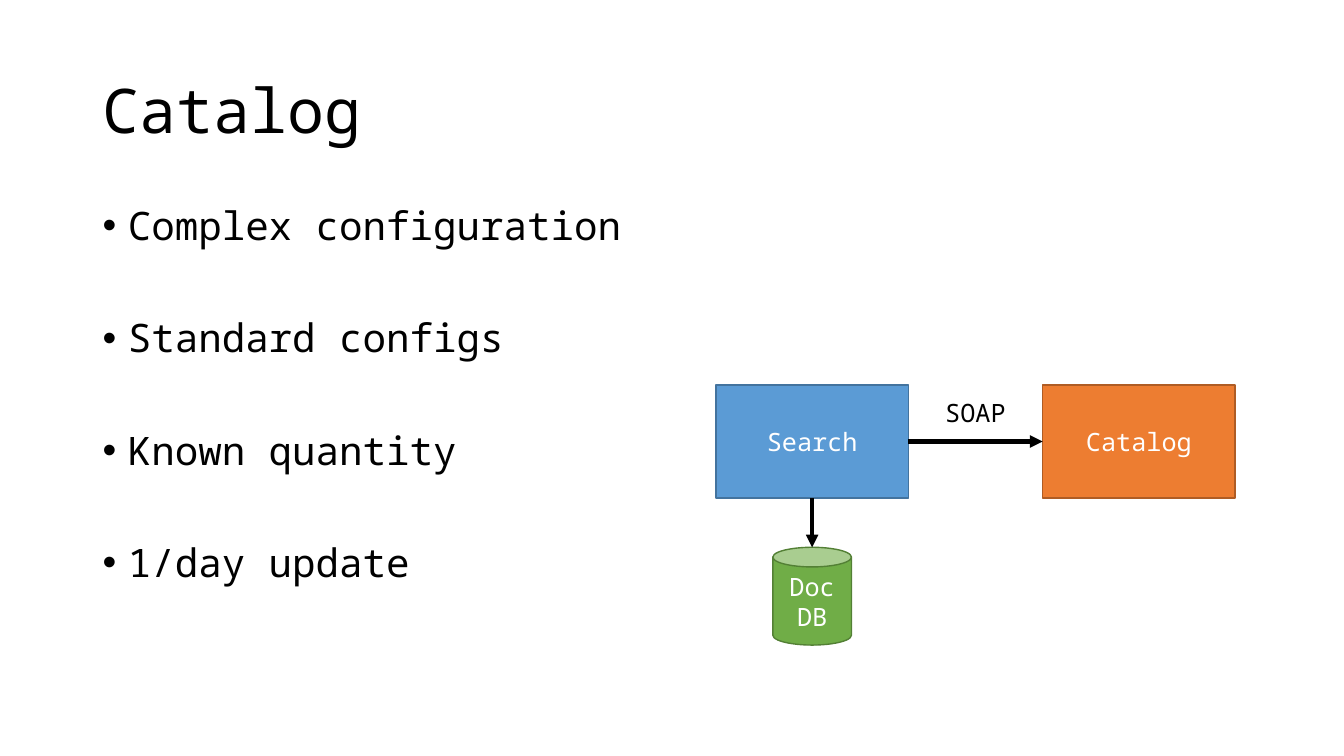
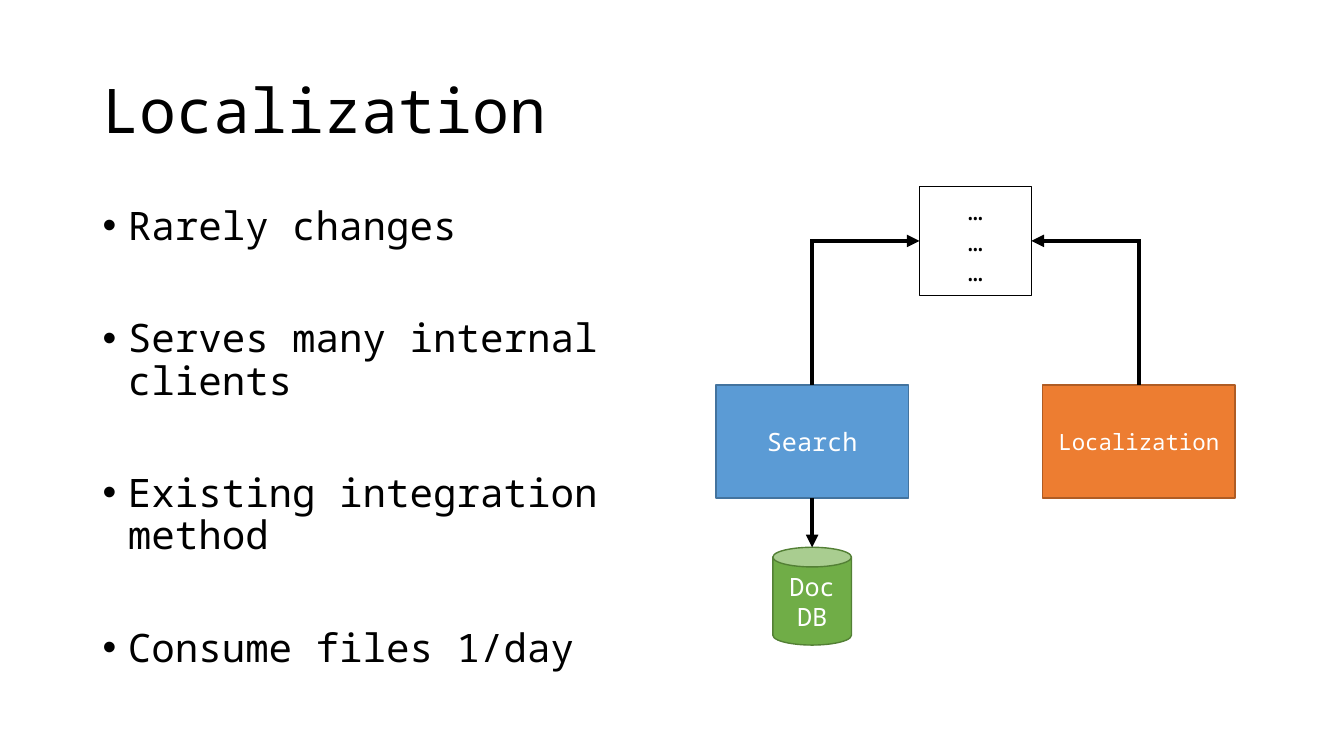
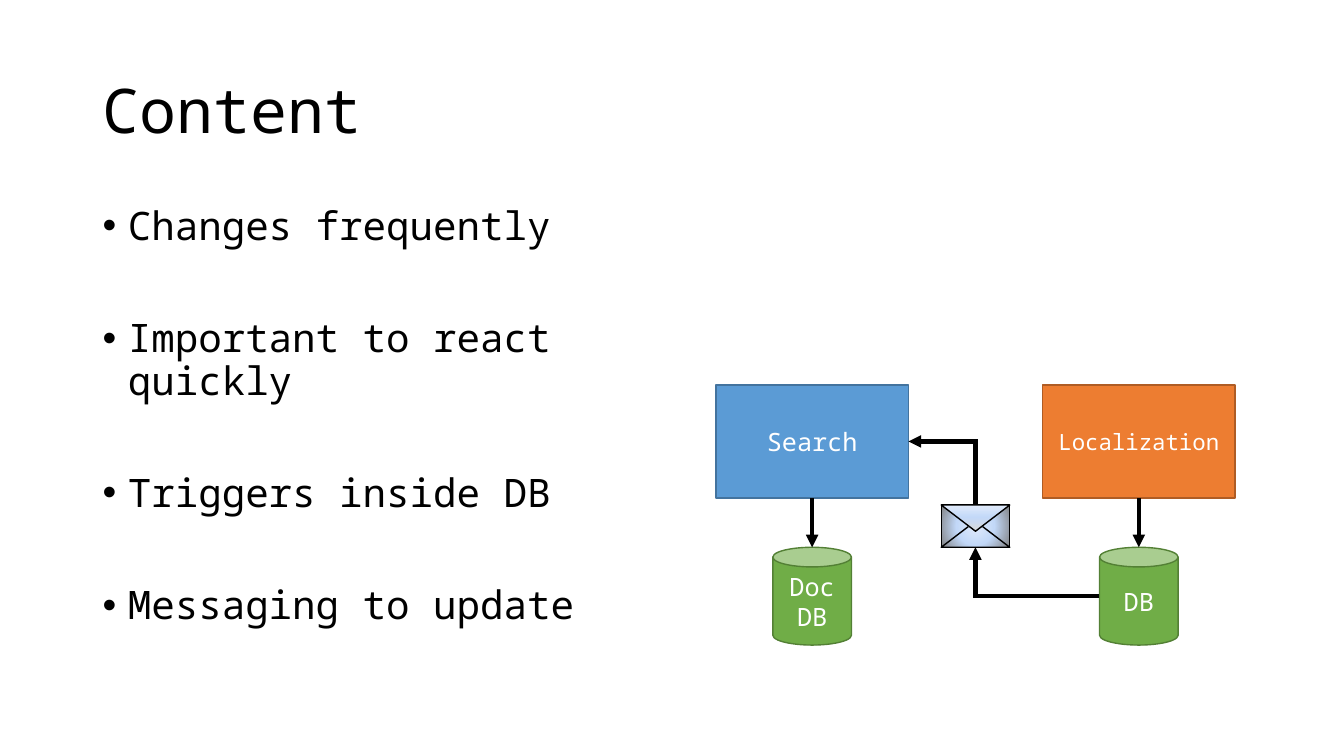
from dataclasses import dataclass

import pptx
import pptx.util
import pptx.dml.color
import pptx.enum.shapes
import pptx.enum.text
import pptx.oxml
import pptx.oxml.ns
from lxml import etree

Inches = pptx.util.Inches
Pt = pptx.util.Pt
qn = pptx.oxml.ns.qn
SHAPE = pptx.enum.shapes.MSO_SHAPE
CONNECTOR = pptx.enum.shapes.MSO_CONNECTOR
ANCHOR = pptx.enum.text.MSO_ANCHOR
ALIGN = pptx.enum.text.PP_ALIGN


@dataclass(frozen=True)
class Theme:
    font: str = "Noto Sans Mono"
    ink: str = "000000"
    paper: str = "FFFFFF"
    search: tuple = ("5B9BD5", "43739E")
    service: tuple = ("ED7D31", "AF5C24")
    database: tuple = ("70AD47", "538035")
    document: tuple = ("FFFFFF", "000000")
    envelope: tuple = ((0, "E1EBFB"), (48, "C2D8F8"), (100, "808080"))
    flap: tuple = ((0, "E1EBFB"), (48, "C2D8F8"), (100, "D9D9D9"))
    title_size: int = 44
    body_size: int = 28
    label_size: int = 18
    small_size: int = 16
    outline: int = 1
    arrow: int = 3


T = Theme()
TITLE_BOX = (0.92, 0.4, 11.5, 1.45)
BODY_BOX = (0.92, 2, 5.67, 4.76)
DIAGRAM_BOX = (7.1, 1.85, 5.15, 4.55)
NODE_W, NODE_H, NODE_TOP = 1.91, 1.12, 1.97
DB_W, DB_H = 0.78, 0.97
RECT_SITES = {"top": 0, "left": 1, "bottom": 2, "right": 3}
CAN_SITES = {"top": 1, "left": 2, "bottom": 3, "right": 4}


def rgb(value):
    return pptx.dml.color.RGBColor.from_string(value)


def inches(box):
    return [Inches(v) for v in box]


def write(tf, text, size, color, align=ALIGN.LEFT, anchor=ANCHOR.TOP):
    tf.text = text
    tf.word_wrap = True
    tf.vertical_anchor = anchor
    for p in tf.paragraphs:
        p.alignment = align
        for r in p.runs:
            r.font.name = T.font
            r.font.size = Pt(size)
            r.font.color.rgb = rgb(color)


def add_title(s, box, text):
    tf = s.shapes.add_textbox(*inches(box)).text_frame
    write(tf, text, T.title_size, T.ink, anchor=ANCHOR.MIDDLE)
    tf.paragraphs[0].line_spacing = 0.9


def add_bullets(s, box, items):
    tf = s.shapes.add_textbox(*inches(box)).text_frame
    write(tf, "\n".join(items), T.body_size, T.ink)
    for i, p in enumerate(tf.paragraphs):
        p.line_spacing = 0.9
        p.space_before = Pt(50 if i else 10)
        pPr = p._p.get_or_add_pPr()
        pPr.set("marL", str(Inches(0.25)))
        pPr.set("indent", str(-Inches(0.25)))
        etree.SubElement(pPr, qn("a:buFont")).set("typeface", "Arial")
        etree.SubElement(pPr, qn("a:buChar")).set("char", "•")


def add_outlined(shapes, kind, box, line):
    sp = shapes.add_shape(kind, *inches(box))
    sp.shadow.inherit = False
    sp.line.color.rgb = rgb(line)
    sp.line.width = Pt(T.outline)
    return sp


def add_node(s, kind, box, colors, text, size=T.label_size, ink=T.paper):
    fill, line = colors
    sp = add_outlined(s.shapes, kind, box, line)
    sp.fill.solid()
    sp.fill.fore_color.rgb = rgb(fill)
    write(sp.text_frame, text, size, ink, ALIGN.CENTER, ANCHOR.MIDDLE)
    return sp


def add_gradient(sp, stops, direction):
    gs = "".join(f'<a:gs pos="{pos * 1000}"><a:srgbClr val="{color}"/></a:gs>' for pos, color in stops)
    grad = pptx.oxml.parse_xml(
        f'<a:gradFill {pptx.oxml.ns.nsdecls("a")} rotWithShape="1">'
        f"<a:gsLst>{gs}</a:gsLst>{direction}</a:gradFill>"
    )
    sp.element.spPr.find(qn("a:prstGeom")).addnext(grad)


def add_envelope(s, box):
    x, y, w, h = box
    fold_h = 0.26
    shapes = s.shapes.add_group_shape().shapes
    body = add_outlined(shapes, SHAPE.RECTANGLE, box, T.ink)
    add_gradient(
        body, T.envelope,
        '<a:path path="circle"><a:fillToRect l="50000" t="50000" r="50000" b="50000"/></a:path>',
    )
    fold = add_outlined(shapes, SHAPE.ISOSCELES_TRIANGLE, (x, y + h - fold_h, w, fold_h), T.ink)
    fold.fill.background()
    flap = add_outlined(shapes, SHAPE.ISOSCELES_TRIANGLE, (x, y, w, fold_h), T.ink)
    flap.rotation = 180
    add_gradient(flap, T.flap, '<a:lin ang="16200000" scaled="0"/>')
    return body


def side_point(sp, side):
    fx, fy = {"top": (0.5, 0), "left": (0, 0.5), "bottom": (0.5, 1), "right": (1, 0.5)}[side]
    return int(sp.left + sp.width * fx), int(sp.top + sp.height * fy)


def site(sp, side):
    is_can = sp.auto_shape_type == SHAPE.CAN
    return (CAN_SITES if is_can else RECT_SITES)[side]


def add_arrow(s, source, out_side, target, in_side, bent=False):
    (x1, y1), (x2, y2) = side_point(source, out_side), side_point(target, in_side)
    upward = bent and out_side == "top"
    if upward:
        cx, cy = (x1 + x2) // 2, (y1 + y2) // 2
        half_w, half_h = (y1 - y2) // 2, (x2 - x1) // 2
        x1, y1, x2, y2 = cx - half_w, cy - half_h, cx + half_w, cy + half_h
    c = s.shapes.add_connector(CONNECTOR.ELBOW if bent else CONNECTOR.STRAIGHT, x1, y1, x2, y2)
    c.begin_connect(source, site(source, out_side))
    c.end_connect(target, site(target, in_side))
    c.begin_x, c.begin_y, c.end_x, c.end_y = x1, y1, x2, y2
    c.line.color.rgb = rgb(T.ink)
    c.line.width = Pt(T.arrow)
    spPr = c.element.spPr
    if bent:
        spPr.find(qn("a:prstGeom")).set("prst", "bentConnector2")
    if upward:
        spPr.find(qn("a:xfrm")).set("rot", str(270 * 60000))
    ln = spPr.find(qn("a:ln"))
    etree.SubElement(ln, qn("a:miter")).set("lim", "800000")
    etree.SubElement(ln, qn("a:tailEnd")).set("type", "triangle")
    etree.SubElement(spPr, qn("a:effectLst"))


def add_database(s, box, owner_x, text):
    _, y, _, h = box
    db_box = (owner_x + (NODE_W - DB_W) / 2, y + h - DB_H, DB_W, DB_H)
    return add_node(s, SHAPE.CAN, db_box, T.database, text)


def add_services(s, box, name, size):
    x, y, w, _ = box
    top = y + NODE_TOP
    search = add_node(s, SHAPE.RECTANGLE, (x, top, NODE_W, NODE_H), T.search, "Search")
    service = add_node(
        s, SHAPE.RECTANGLE, (x + w - NODE_W, top, NODE_W, NODE_H), T.service, name, size
    )
    doc_db = add_database(s, box, x, "DocDB")
    add_arrow(s, search, "bottom", doc_db, "top")
    return search, service


def catalog_diagram(s, box):
    x, y, w, _ = box
    search, catalog = add_services(s, box, "Catalog", T.label_size)
    add_arrow(s, search, "right", catalog, "left")
    label_w = 1.06
    label = s.shapes.add_textbox(*inches((x + (w - label_w) / 2, y + 2.04, label_w, 0.4)))
    write(label.text_frame, "SOAP", T.label_size, T.ink, ALIGN.CENTER)


def localization_diagram(s, box):
    x, y, w, _ = box
    search, localization = add_services(s, box, "Localization", T.small_size)
    file_w = 1.11
    file_box = (x + (w - file_w) / 2, y, file_w, 1.08)
    file = add_node(s, SHAPE.RECTANGLE, file_box, T.document, "…\n…\n…", ink=T.ink)
    add_arrow(s, localization, "top", file, "right", bent=True)
    add_arrow(s, search, "top", file, "left", bent=True)


def content_diagram(s, box):
    x, y, w, _ = box
    search, localization = add_services(s, box, "Localization", T.small_size)
    db = add_database(s, box, x + w - NODE_W, "DB")
    add_arrow(s, localization, "bottom", db, "top")
    envelope_w = 0.68
    envelope = add_envelope(s, (x + (w - envelope_w) / 2, y + 3.16, envelope_w, 0.42))
    add_arrow(s, db, "left", envelope, "bottom", bent=True)
    add_arrow(s, envelope, "top", search, "right", bent=True)


SLIDES = (
    ("Catalog", catalog_diagram,
     ("Complex configuration", "Standard configs", "Known quantity", "1/day update")),
    ("Localization", localization_diagram,
     ("Rarely changes", "Serves many internal clients", "Existing integration method",
      "Consume files 1/day")),
    ("Content", content_diagram,
     ("Changes frequently", "Important to react quickly", "Triggers inside DB",
      "Messaging to update")),
)

prs = pptx.Presentation()
prs.slide_width, prs.slide_height = Inches(13.33), Inches(7.5)
for title, draw_diagram, items in SLIDES:
    s = prs.slides.add_slide(prs.slide_layouts[6])
    add_title(s, TITLE_BOX, title)
    add_bullets(s, BODY_BOX, items)
    draw_diagram(s, DIAGRAM_BOX)
prs.save("out.pptx")
